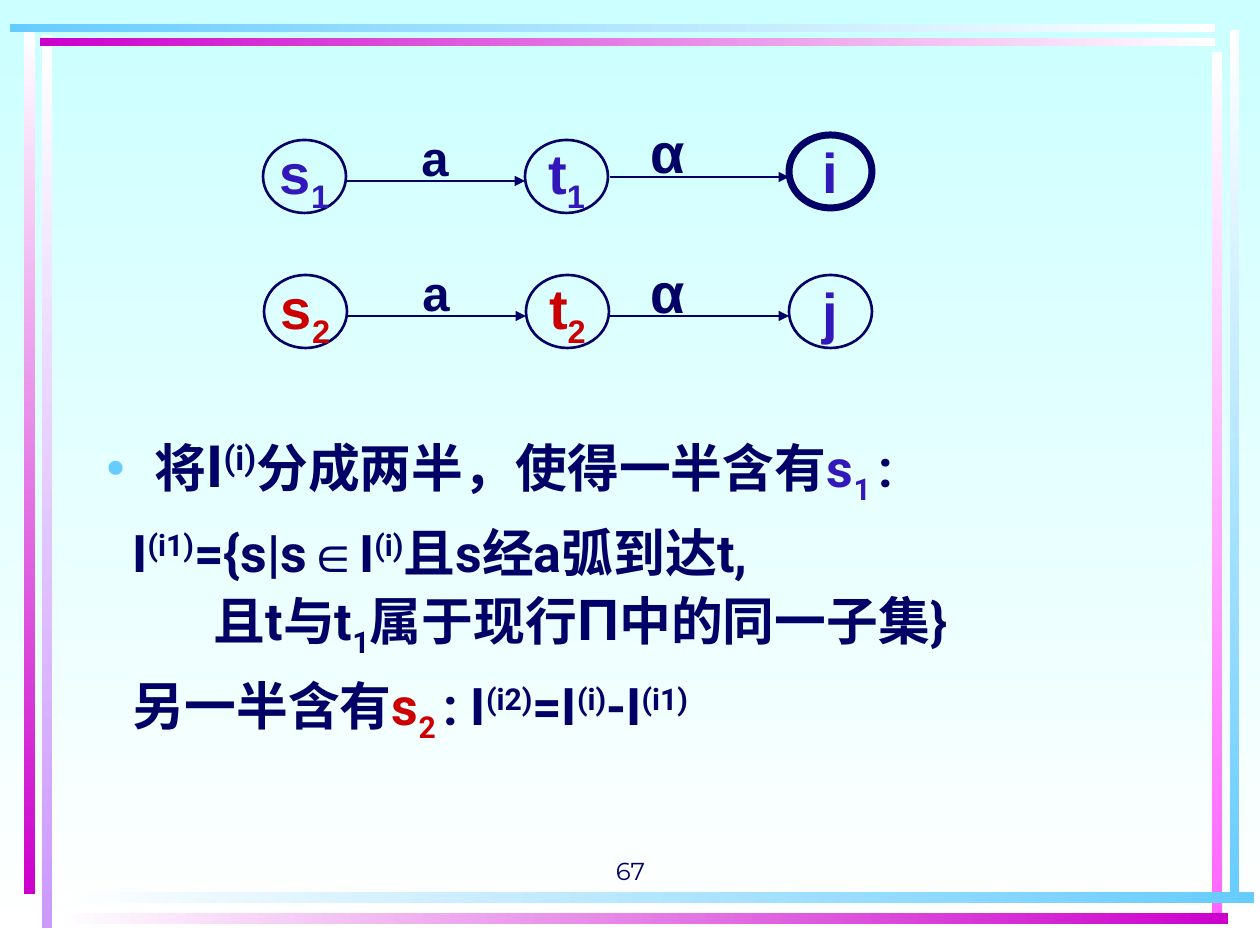
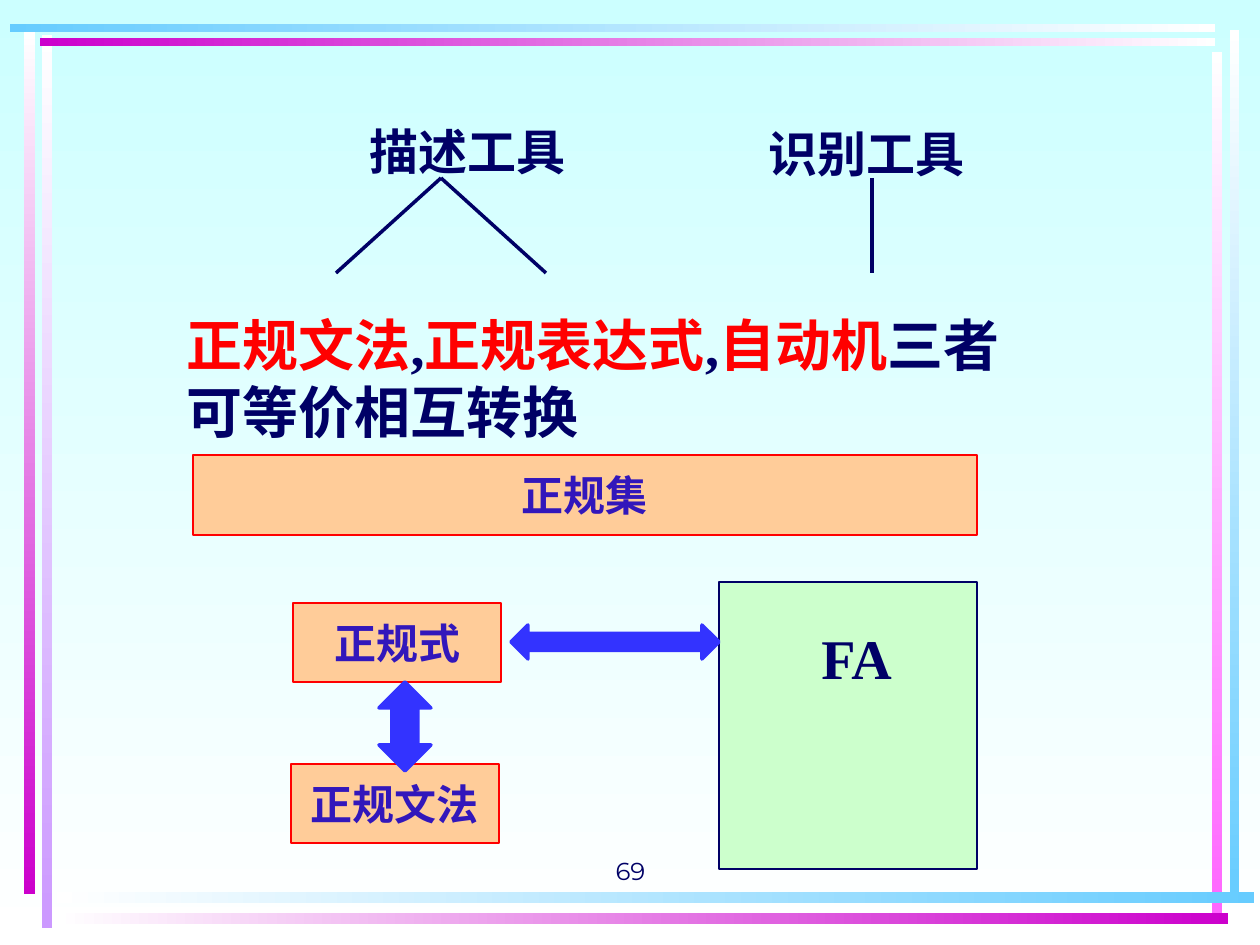
"""Build two lecture slides on minimising automata and on regular sets."""
from typing import NamedTuple, Optional

import pptx
import pptx.dml.color
import pptx.enum.shapes
import pptx.enum.text
import pptx.oxml
import pptx.oxml.ns
import pptx.util
from lxml import etree

RGB = pptx.dml.color.RGBColor
Shape = pptx.enum.shapes.MSO_SHAPE
Anchor = pptx.enum.text.MSO_ANCHOR
Align = pptx.enum.text.PP_ALIGN
qn = pptx.oxml.ns.qn

NAVY = RGB(0x00, 0x00, 0x66)
INDIGO = RGB(0x32, 0x17, 0xBB)
DARK_RED = RGB(0xCC, 0x00, 0x00)
RED = RGB(0xFF, 0x00, 0x00)
BLUE = RGB(0x33, 0x33, 0xFF)
SKY = RGB(0x66, 0xCC, 0xFF)
PALE_CYAN = RGB(0xCC, 0xFF, 0xFF)
WHITE = RGB(0xFF, 0xFF, 0xFF)
MAGENTA = RGB(0xCC, 0x00, 0xCC)
PINK = RGB(0xFF, 0x66, 0xFF)
LILAC = RGB(0xCC, 0x99, 0xFF)
PEACH = RGB(0xFF, 0xCC, 0x99)
MINT = RGB(0xCC, 0xFF, 0xCC)

CJK_FACE = "Noto Sans CJK SC"
EMU_PER_PX = 914400 / 126
RIGHTWARD, DOWNWARD = 0, 270
SUB, SUPER = -25, 30


class Area(NamedTuple):
    left: int
    top: int
    width: int
    height: int


class Band(NamedTuple):
    area: Area
    start: RGB
    end: RGB
    angle: int


class Style(NamedTuple):
    face: str
    size: float
    colour: RGB = NAVY
    bold: bool = True


class Span(NamedTuple):
    text: str
    baseline: int = 0
    colour: Optional[RGB] = None
    size: Optional[float] = None
    face: Optional[str] = None


class BodyLine(NamedTuple):
    margin: int
    before: int
    bullet: bool
    spans: list[Span]


class State(NamedTuple):
    left: int
    top: int
    name: str
    index: str = ""
    colour: RGB = INDIGO
    weight: float = 1.5


class Label(NamedTuple):
    left: int
    top: int
    text: str
    size: int


class Segment(NamedTuple):
    x1: int
    y1: int
    x2: int
    y2: int


BANDS = [
    Band(Area(42, 35, 10, 893), WHITE, LILAC, DOWNWARD),
    Band(Area(24, 32, 11, 862), WHITE, MAGENTA, DOWNWARD),
    Band(Area(1230, 30, 9, 873), WHITE, SKY, DOWNWARD),
    Band(Area(1212, 52, 10, 861), WHITE, PINK, DOWNWARD),
    Band(Area(57, 892, 1197, 11), WHITE, SKY, RIGHTWARD),
    Band(Area(57, 913, 1171, 11), WHITE, MAGENTA, RIGHTWARD),
    Band(Area(40, 38, 1175, 8), MAGENTA, WHITE, RIGHTWARD),
    Band(Area(10, 24, 1205, 8), SKY, WHITE, RIGHTWARD),
]

STATES = [
    State(263, 140, "s", "1"),
    State(525, 140, "t", "1"),
    State(789, 135, "i", weight=4),
    State(264, 275, "s", "2", DARK_RED),
    State(526, 275, "t", "2", DARK_RED),
    State(789, 275, "j"),
]
TRANSITIONS = [
    Segment(347, 181, 525, 181),
    Segment(610, 177, 789, 177),
    Segment(348, 316, 526, 316),
    Segment(610, 316, 789, 316),
]
TRANSITION_LABELS = [
    Label(377, 120, "a", 28),
    Label(610, 115, "α", 32),
    Label(378, 255, "a", 28),
    Label(610, 255, "α", 32),
]
SPLIT_LINES = [
    BodyLine(48, 0, True, [
        Span("将"), Span("I", size=33.3), Span("(i)", SUPER, size=33.3),
        Span("分成两半，使得一半含有"), Span("s", colour=INDIGO),
        Span("1 ", SUB, INDIGO), Span(":")]),
    BodyLine(26, 8, False, [
        Span("I"), Span("(i1)", SUPER), Span("={s|s"), Span("∈", face="Arial"),
        Span("I"), Span("(i)", SUPER), Span("且s经a弧到达t,")]),
    BodyLine(107, 0, False, [
        Span("且t与t"), Span("1", SUB), Span("属于现行"),
        Span("Π", size=33.3, face="Arial"), Span("中的同一子集}")]),
    BodyLine(26, 8, False, [
        Span("另一半含有"), Span("s", colour=DARK_RED), Span("2 ", SUB, DARK_RED),
        Span(": I"), Span("(i2)", SUPER), Span("=I"), Span("(i)", SUPER),
        Span("-I"), Span("(i1)", SUPER)]),
]

TOOL_LABELS = [Label(357, 115, "描述工具", 28), Label(756, 117, "识别工具", 28)]
TOOL_LINES = [
    Segment(441, 178, 336, 273),
    Segment(441, 178, 546, 273),
    Segment(872, 178, 872, 273),
]
CONCLUSION = [
    Span("正规文法", colour=RED), Span(","), Span("正规表达式", colour=RED),
    Span(","), Span("自动机", colour=RED), Span("三者可等价相互转换"),
]
CONCEPTS = [
    (Area(193, 455, 784, 80), "正规集"),
    (Area(293, 603, 208, 79), "正规式"),
    (Area(291, 764, 208, 79), "正规文法"),
]
EQUIVALENCES = [
    (Shape.UP_DOWN_ARROW, Area(379, 682, 52, 89)),
    (Shape.LEFT_RIGHT_ARROW, Area(511, 625, 208, 34)),
]


def px(length: int) -> int:
    """Turn px into EMU."""
    return round(length * EMU_PER_PX)


def emu(area: Area) -> list[int]:
    """Turn an area into EMU lengths."""
    return [px(length) for length in area]


def set_gradient(fill, start: RGB, end: RGB, angle: int) -> None:
    """Apply a linear gradient of two colours."""
    fill.gradient()
    fill.gradient_angle = angle
    for stop, colour in zip(fill.gradient_stops, (start, end)):
        stop.color.rgb = colour


def add_figure(page, kind: Shape, area: Area, fill: Optional[RGB] = None,
               line: Optional[RGB] = None, weight: float = 1):
    """Draw a preset shape without a shadow."""
    figure = page.shapes.add_shape(kind, *emu(area))
    figure.shadow.inherit = False
    if fill is None:
        figure.fill.background()
    else:
        figure.fill.solid()
        figure.fill.fore_color.rgb = fill
    if line is None:
        figure.line.fill.background()
    else:
        figure.line.color.rgb = line
        figure.line.width = pptx.util.Pt(weight)
    return figure


def write(para, spans: list[Span], style: Style, align: Align = Align.LEFT) -> None:
    """Fill a paragraph with styled spans."""
    para.alignment = align
    font = para.font
    font.name, font.size, font.bold = style.face, pptx.util.Pt(style.size), style.bold
    font.color.rgb = style.colour
    defaults = para._p.pPr.find(qn("a:defRPr"))
    etree.SubElement(defaults, qn("a:ea")).set("typeface", CJK_FACE)
    for span in spans:
        run = para.add_run()
        run.text = span.text
        if span.baseline:
            run._r.get_or_add_rPr().set("baseline", str(span.baseline * 1000))
        if span.colour is not None:
            run.font.color.rgb = span.colour
        if span.size:
            run.font.size = pptx.util.Pt(span.size)
        if span.face:
            run.font.name = span.face


def set_text(box, spans: list[Span], style: Style, align: Align = Align.LEFT,
             anchor: Anchor = Anchor.TOP, wrap: bool = True) -> None:
    """Write one paragraph into a shape."""
    frame = box.text_frame
    frame.word_wrap = wrap
    frame.vertical_anchor = anchor
    write(frame.paragraphs[0], spans, style, align)


def add_text(page, area: Area, spans: list[Span], style: Style, **layout) -> None:
    """Add a text box with one paragraph."""
    set_text(page.shapes.add_textbox(*emu(area)), spans, style, **layout)


def add_segment(page, segment: Segment, weight: float, arrow: bool = False) -> None:
    """Draw a straight line, with an arrowhead if asked."""
    line = page.shapes.add_connector(
        pptx.enum.shapes.MSO_CONNECTOR.STRAIGHT, *[px(value) for value in segment])
    line.line.color.rgb = NAVY
    line.line.width = pptx.util.Pt(weight)
    properties = line.element.spPr
    if arrow:
        etree.SubElement(properties.find(qn("a:ln")), qn("a:tailEnd")).set("type", "triangle")
    etree.SubElement(properties, qn("a:effectLst"))


def add_page(deck, layout: int, number: int):
    """Add a page with its number at the foot."""
    page = deck.slides.add_slide(deck.slide_layouts[layout])
    add_text(page, Area(431, 829, 399, 63), [Span(str(number))],
             Style("Montserrat", 14, bold=False), align=Align.CENTER, anchor=Anchor.BOTTOM)
    return page


def decorate_master(deck, page) -> None:
    """Give the master its background and frame bands."""
    master = deck.slide_master
    set_gradient(master.background.fill, PALE_CYAN, WHITE, DOWNWARD)
    for band in BANDS:
        strip = add_figure(page, Shape.RECTANGLE, band.area)
        set_gradient(strip.fill, band.start, band.end, band.angle)
        master.shapes.element.append(strip.element)


def fill_body(body) -> None:
    """Write the splitting rule into the body placeholder."""
    body.left, body.top, body.width, body.height = emu(Area(94, 423, 1103, 339))
    frame = body.text_frame
    frame.auto_size = pptx.enum.text.MSO_AUTO_SIZE.NONE
    for order, line in enumerate(SPLIT_LINES):
        para = frame.add_paragraph() if order else frame.paragraphs[0]
        para.space_before = pptx.util.Pt(line.before)
        properties = para._p.get_or_add_pPr()
        properties.set("marL", str(px(line.margin)))
        properties.set("indent", str(-px(line.margin) if line.bullet else 0))
        if line.bullet:
            colour = etree.SubElement(properties, qn("a:buClr"))
            etree.SubElement(colour, qn("a:srgbClr")).set("val", str(SKY))
            etree.SubElement(properties, qn("a:buChar")).set("char", "•")
        else:
            etree.SubElement(properties, qn("a:buNone"))
        write(para, line.spans, Style("Roboto", 29.6))


def draw_automaton(page) -> None:
    """Draw the states and their transitions."""
    centred = dict(align=Align.CENTER, anchor=Anchor.MIDDLE, wrap=False)
    for state in STATES:
        circle = add_figure(page, Shape.OVAL, Area(state.left, state.top, 83, 73),
                            line=NAVY, weight=state.weight)
        spans = [Span(state.name)] + ([Span(state.index, SUB)] if state.index else [])
        set_text(circle, spans, Style("Arial", 32, state.colour), **centred)
    for segment in TRANSITIONS:
        add_segment(page, segment, 1.5, arrow=True)
    for label in TRANSITION_LABELS:
        add_text(page, Area(label.left, label.top, 116, 73), [Span(label.text)],
                 Style("Arial", label.size), **centred)


def draw_equivalence(page) -> None:
    """Draw the tools and the conversions between them."""
    add_figure(page, Shape.RECTANGLE, Area(719, 582, 258, 287), MINT, NAVY)
    for area, name in CONCEPTS:
        block = add_figure(page, Shape.RECTANGLE, area, PEACH, RED)
        set_text(block, [Span(name)], Style(CJK_FACE, 24, INDIGO),
                 Align.CENTER, Anchor.MIDDLE, False)
    for label in TOOL_LABELS:
        add_text(page, Area(label.left, label.top, 242, 72), [Span(label.text)],
                 Style("Times New Roman", label.size))
    for segment in TOOL_LINES:
        add_segment(page, segment, 2)
    heading = Style("Times New Roman", 32)
    add_text(page, Area(174, 304, 872, 147), CONCLUSION, heading)
    add_text(page, Area(809, 617, 100, 147), [Span("FA")], heading, wrap=False)
    for kind, area in EQUIVALENCES:
        arrow = add_figure(page, kind, area, BLUE, BLUE, 2)
        arrow.adjustments[0] = arrow.adjustments[1] = 0.5


def main() -> None:
    """Build and save the deck."""
    deck = pptx.Presentation()
    deck.slide_width, deck.slide_height = px(1260), px(945)
    split_page = add_page(deck, 1, 67)
    decorate_master(deck, split_page)
    title = split_page.shapes.title.element
    title.getparent().remove(title)
    fill_body(split_page.placeholders[1])
    draw_automaton(split_page)
    draw_equivalence(add_page(deck, 6, 69))
    deck.save("out.pptx")


if __name__ == "__main__":
    main()
